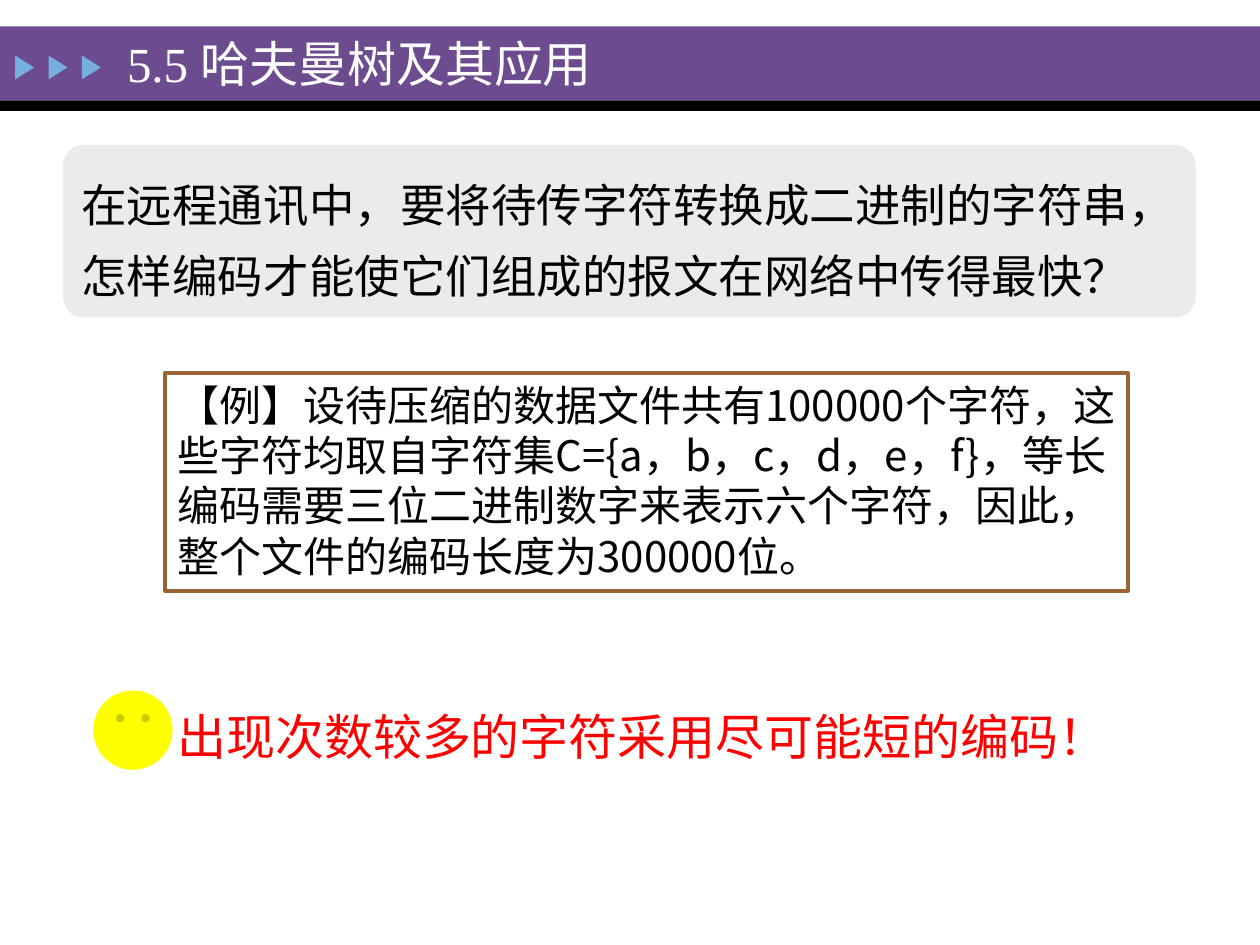
from lxml import etree
from pptx import Presentation
from pptx.dml.color import RGBColor
from pptx.enum.shapes import MSO_SHAPE
from pptx.enum.text import MSO_ANCHOR, PP_ALIGN
from pptx.oxml.ns import qn
from pptx.util import Inches, Pt

RECTANGLE = MSO_SHAPE.RECTANGLE
ROUNDED_RECTANGLE = MSO_SHAPE.ROUNDED_RECTANGLE
TRIANGLE = MSO_SHAPE.ISOSCELES_TRIANGLE
SMILEY = MSO_SHAPE.SMILEY_FACE
TOP = MSO_ANCHOR.TOP
MIDDLE = MSO_ANCHOR.MIDDLE
LEFT = PP_ALIGN.LEFT

CJK_FONT = "Noto Sans CJK SC"
LATIN_FONT = "Times New Roman"
OFF_WHITE = "FEFFFF"
BLACK = "000000"


def set_fill(fill, color):
    fill.solid()
    fill.fore_color.rgb = RGBColor.from_string(color)


def add_box(slide, kind, left, top, width, height, color):
    """Add a filled preset shape without outline or shadow."""
    shape = slide.shapes.add_shape(
        kind, Inches(left), Inches(top), Inches(width), Inches(height))
    shape.shadow.inherit = False
    set_fill(shape.fill, color)
    shape.line.fill.background()
    return shape


def set_text(shape, text, size, color, font=LATIN_FONT, anchor=TOP):
    frame = shape.text_frame
    frame.word_wrap = True
    frame.vertical_anchor = anchor
    frame.text = text
    paragraph = frame.paragraphs[0]
    paragraph.alignment = LEFT
    run = paragraph.runs[0]
    run.font.size = Pt(size)
    run.font.name = font
    run.font.color.rgb = RGBColor.from_string(color)
    east_asian = etree.SubElement(run.font._element, qn("a:ea"))
    east_asian.set("typeface", CJK_FONT)
    return paragraph


def add_label(slide, left, top, width, height, text, size, color):
    label = slide.shapes.add_textbox(
        Inches(left), Inches(top), Inches(width), Inches(height))
    set_text(label, text, size, color)


def add_header(slide):
    add_box(slide, RECTANGLE, 0, 0.21, 10, 0.59, "6C4C8F")
    add_box(slide, RECTANGLE, 0, 0.8, 10, 0.08, BLACK)
    for index in range(3):
        arrow = add_box(slide, TRIANGLE, 0.1 + 0.265 * index, 0.46, 0.19, 0.15, "76AEDD")
        arrow.rotation = 90
    add_label(slide, 0.91, 0.22, 5.01, 0.57, "5.5 哈夫曼树及其应用", 28, OFF_WHITE)


def add_question(slide):
    panel = add_box(slide, ROUNDED_RECTANGLE, 0.5, 1.15, 8.99, 1.37, "EBEBEB")
    panel.adjustments[0] = 0.12
    paragraph = set_text(
        panel,
        "在远程通讯中，要将待传字符转换成二进制的字符串，"
        "怎样编码才能使它们组成的报文在网络中传得最快？",
        26, BLACK, anchor=MIDDLE)
    paragraph.line_spacing = 1.3


def add_example(slide):
    frame = add_box(slide, RECTANGLE, 1.31, 2.96, 7.64, 1.73, OFF_WHITE)
    set_fill(frame.line.fill, "996633")
    frame.line.width = Pt(2.25)
    set_text(
        frame,
        "【例】设待压缩的数据文件共有100000个字符，"
        "这些字符均取自字符集C={a，b，c，d，e，f}，"
        "等长编码需要三位二进制数字来表示六个字符，"
        "因此，整个文件的编码长度为300000位。",
        24, BLACK, font=CJK_FONT)


def add_conclusion(slide):
    add_label(slide, 1.31, 5.56, 7.64, 0.57,
              "出现次数较多的字符采用尽可能短的编码！", 28, "FF0000")
    add_box(slide, SMILEY, 0.74, 5.48, 0.63, 0.63, "FFFF00")


def main():
    presentation = Presentation()
    presentation.slide_width = Inches(10)
    presentation.slide_height = Inches(7.5)
    slide = presentation.slides.add_slide(presentation.slide_layouts[6])
    set_fill(slide.background.fill, OFF_WHITE)
    add_header(slide)
    add_example(slide)
    add_question(slide)
    add_conclusion(slide)
    presentation.save("out.pptx")


if __name__ == "__main__":
    main()
